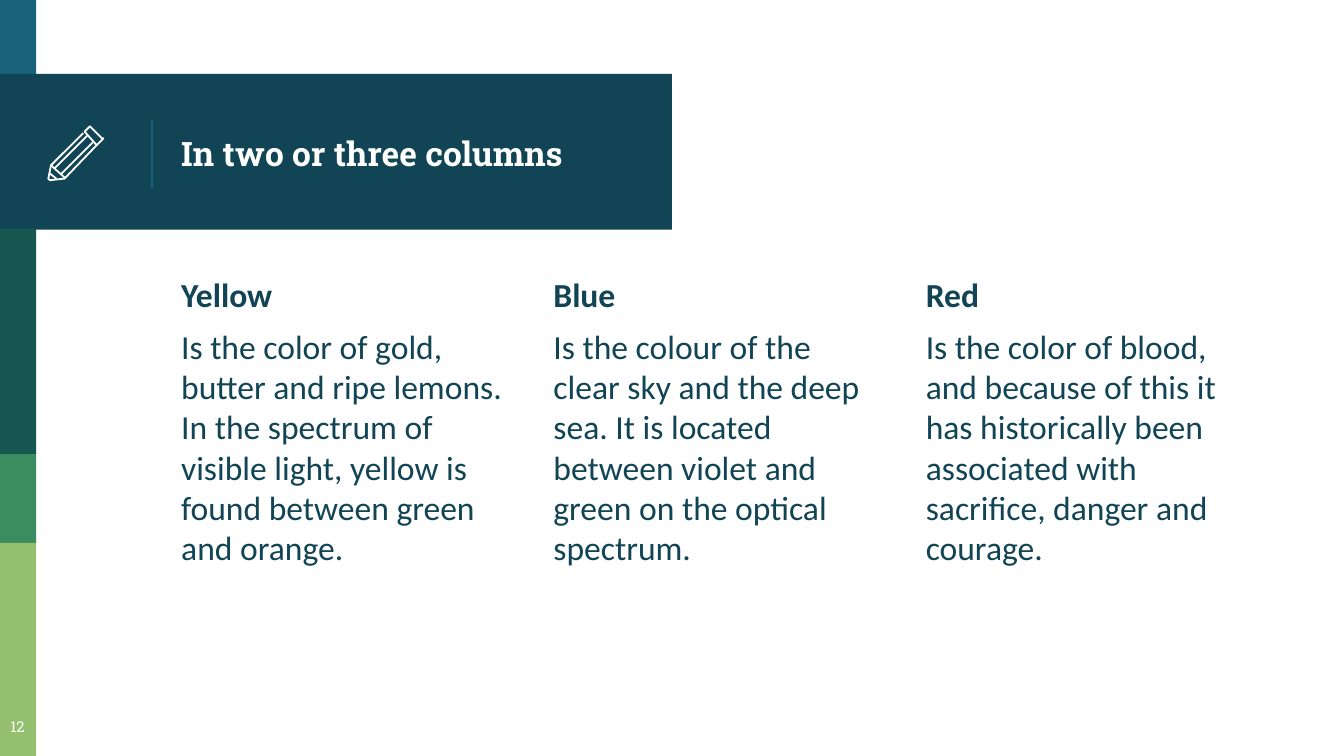
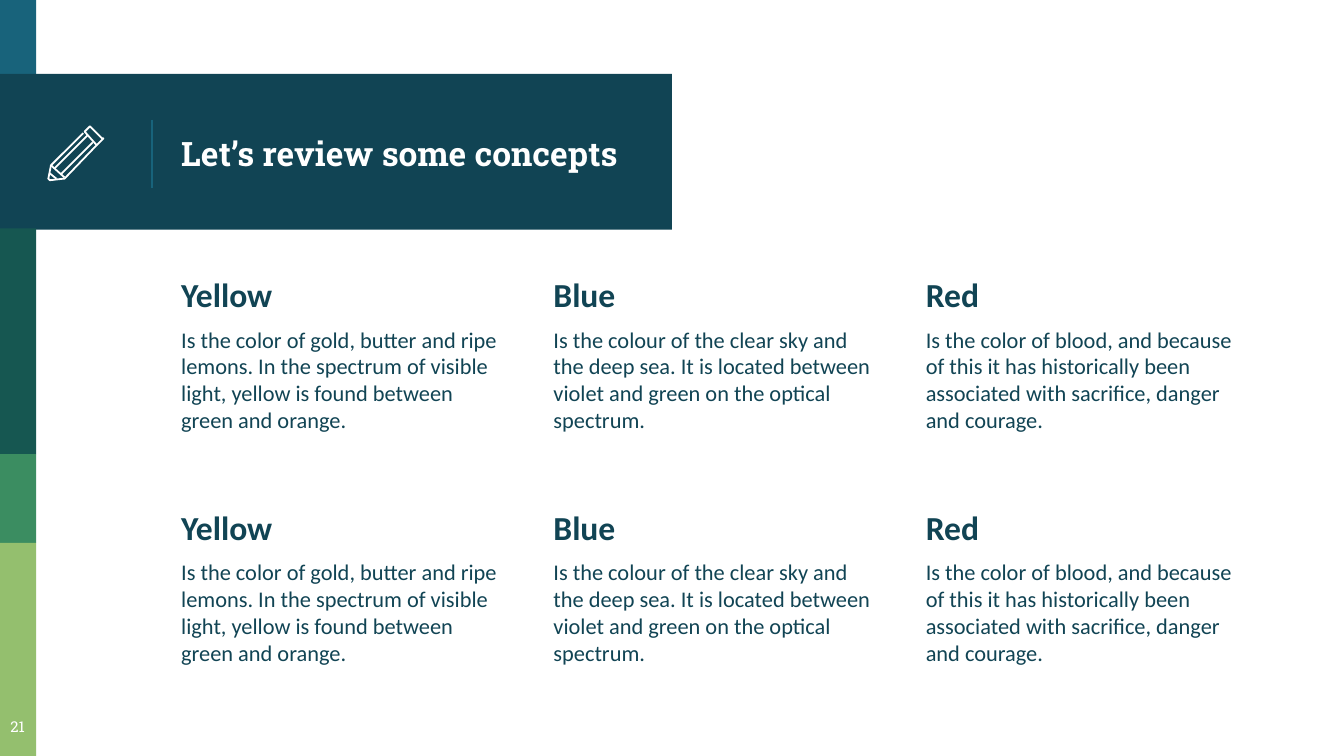
from pptx import Presentation
from pptx.dml.color import RGBColor
from pptx.enum.shapes import MSO_CONNECTOR, MSO_SHAPE
from pptx.enum.text import MSO_ANCHOR, PP_ALIGN
from pptx.oxml.ns import qn
from pptx.util import Inches, Pt

RECTANGLE = MSO_SHAPE.RECTANGLE
STRAIGHT = MSO_CONNECTOR.STRAIGHT
TOP, MIDDLE = MSO_ANCHOR.TOP, MSO_ANCHOR.MIDDLE
LEFT, CENTER = PP_ALIGN.LEFT, PP_ALIGN.CENTER

WHITE = RGBColor(0xFF, 0xFF, 0xFF)
BLUE = RGBColor(0x18, 0x63, 0x7B)
NAVY = RGBColor(0x11, 0x44, 0x54)
PINE = RGBColor(0x16, 0x57, 0x51)
GREEN = RGBColor(0x3B, 0x8D, 0x61)
LIME = RGBColor(0x94, 0xBF, 0x6E)

# Text formats
TITLE = {"name": "Roboto Slab", "size": Pt(18), "bold": True, "color": WHITE}
NUMBER = {"name": "Roboto Slab", "size": Pt(8), "bold": False, "color": WHITE}
HEADING = {"name": "Calibri", "size": Pt(18), "bold": True, "color": NAVY}
BODY = {**HEADING, "bold": False}
SMALL_BODY = {**BODY, "size": Pt(12)}

# Side bands and title band: left, top, width, height, colour
BAND_WIDTH = 0.27
BANDS = [
    (0, 0, BAND_WIDTH, 0.58, BLUE),
    (0, 0.55, 5, 1.16, NAVY),
    (0, 1.7, BAND_WIDTH, 1.68, PINE),
    (0, 3.38, BAND_WIDTH, 0.66, GREEN),
    (0, 4.04, BAND_WIDTH, 1.59, LIME),
]

# Pencil strokes in hundredths of an inch: points, closed
PENCIL = [
    ([(76, 103), (68, 95), (67, 94), (66, 95), (63, 98), (72, 108),
      (76, 104), (77, 103)], True),
    ([(69, 106), (45, 130)], False),
    ([(62, 99), (38, 123), (36, 133), (37, 134), (38, 134), (47, 133),
      (48, 133), (72, 108)], False),
    ([(41, 125), (65, 101)], False),
    ([(42, 133), (37, 129)], False),
    ([(38, 123), (48, 132)], False),
]

# Column grid
TEXT_LEFT, TEXT_TOP = 1.25, 1.94
COLUMN_WIDTH, COLUMN_STEP, ROW_STEP = 2.64, 2.77, 1.73

COLORS = [
    ("Yellow", "Is the color of gold, butter and ripe lemons. In the spectrum "
               "of visible light, yellow is found between green and orange."),
    ("Blue", "Is the colour of the clear sky and the deep sea. It is located "
             "between violet and green on the optical spectrum."),
    ("Red", "Is the color of blood, and because of this it has historically "
            "been associated with sacrifice, danger and courage."),
]


class Deck:
    def __init__(self):
        self.deck = Presentation()
        self.deck.slide_width = Inches(10)
        self.deck.slide_height = Inches(5.625)
        self.page = None

    def band(self, left, top, width, height, color):
        box = self.page.shapes.add_shape(
            RECTANGLE, Inches(left), Inches(top), Inches(width), Inches(height))
        box.shadow.inherit = False
        box.fill.solid()
        box.fill.fore_color.rgb = color
        box.line.fill.background()

    def rule(self, x, top, bottom, color):
        line = self.page.shapes.add_connector(
            STRAIGHT, Inches(x), Inches(top), Inches(x), Inches(bottom))
        line.line.color.rgb = color
        line.line.width = Pt(0.75)
        properties = line._element.spPr
        properties.append(properties.makeelement(qn("a:effectLst"), {}))

    def text(self, left, top, width, height, paragraphs,
             anchor=TOP, align=LEFT, space=0):
        box = self.page.shapes.add_textbox(
            Inches(left), Inches(top), Inches(width), Inches(height))
        frame = box.text_frame
        frame.word_wrap = True
        frame.vertical_anchor = anchor
        for side in ("left", "top", "right", "bottom"):
            setattr(frame, f"margin_{side}", Inches(0.1))
        for index, (words, style) in enumerate(paragraphs):
            para = frame.add_paragraph() if index else frame.paragraphs[0]
            para.alignment = align
            para.space_before = Pt(space)
            span = para.add_run()
            span.text = words
            for key, value in style.items():
                if key == "color":
                    span.font.color.rgb = value
                else:
                    setattr(span.font, key, value)

    def pencil(self):
        group = self.page.shapes.add_group_shape()
        for points, closed in PENCIL:
            builder = group.shapes.build_freeform(*points[0], scale=Inches(0.01))
            builder.add_line_segments(points[1:], close=closed)
            stroke = builder.convert_to_shape()
            stroke.shadow.inherit = False
            stroke.fill.background()
            stroke.line.color.rgb = WHITE
            stroke.line.width = Pt(0.96)

    def columns(self, top, height, body_style):
        for index, (name, description) in enumerate(COLORS):
            self.text(TEXT_LEFT + index * COLUMN_STEP, top, COLUMN_WIDTH, height,
                      [(name, HEADING), (description, body_style)], space=6)

    def new_page(self, title, number):
        self.page = self.deck.slides.add_slide(self.deck.slide_layouts[6])
        for band in BANDS:
            self.band(*band)
        self.rule(1.13, 0.89, 1.4, BLUE)
        self.text(TEXT_LEFT, 0.58, 3.51, 1.12, [(title, TITLE)], anchor=MIDDLE)
        self.pencil()
        self.text(-0.06, 5.27, 0.38, 0.35, [(str(number), NUMBER)], align=CENTER)


def main():
    show = Deck()

    # Three columns
    show.new_page("In two or three columns", 12)
    show.columns(TEXT_TOP, 3.45, BODY)

    # Two rows of three concepts
    show.new_page("Let’s review some concepts", 21)
    for row in range(2):
        show.columns(TEXT_TOP + row * ROW_STEP, 1.43, SMALL_BODY)

    show.deck.save("out.pptx")


if __name__ == "__main__":
    main()
